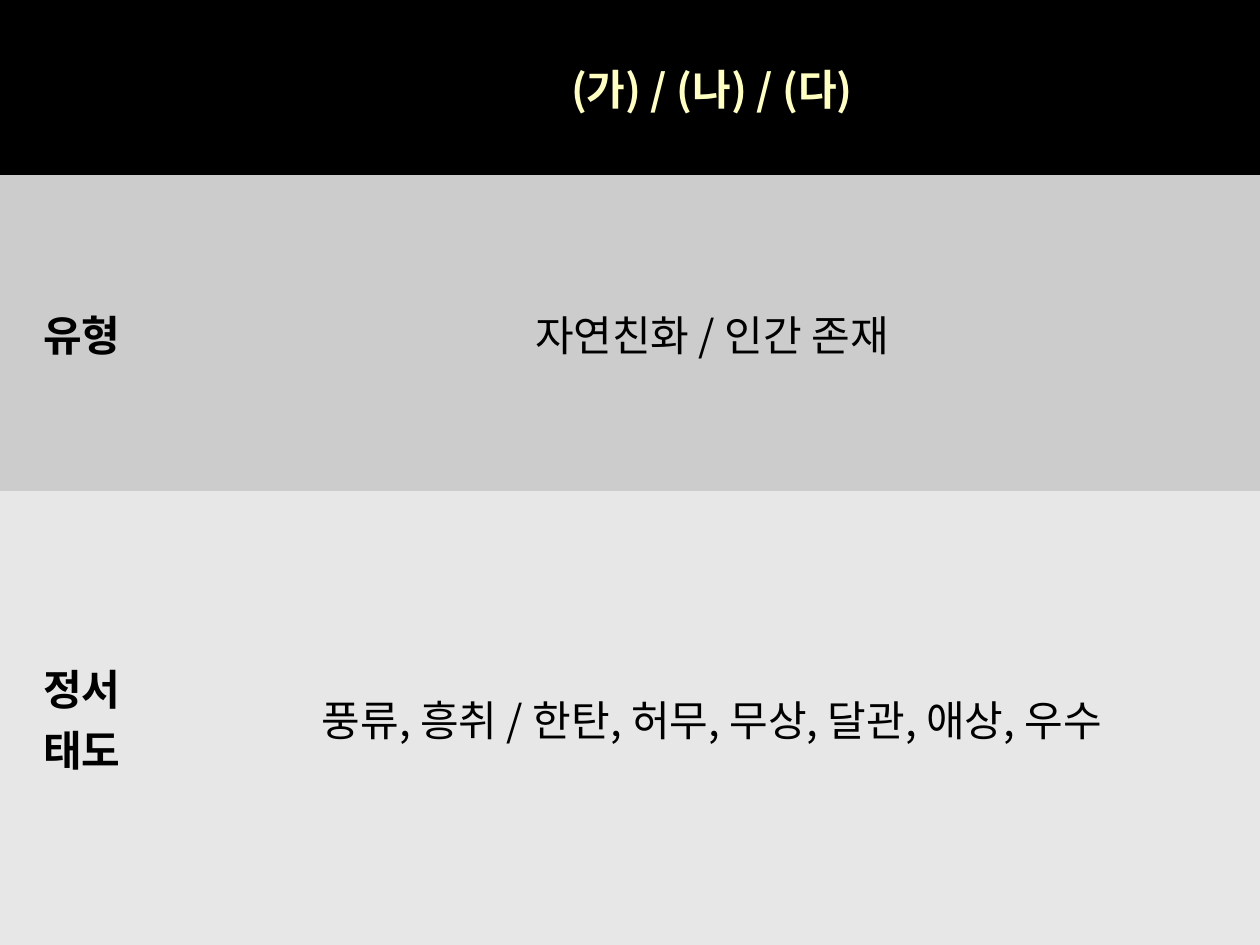
from pptx import Presentation
from pptx.dml.color import RGBColor
from pptx.enum.text import MSO_ANCHOR, PP_ALIGN
from pptx.oxml.ns import qn
from pptx.util import Pt

EMU_PER_PX = 9144
SLIDE_WIDTH, SLIDE_HEIGHT = 1000, 750
COLUMN_WIDTHS = (130, 870)
ROW_HEIGHTS = (139, 251, 360)

BLACK = RGBColor(0x00, 0x00, 0x00)
CREAM = RGBColor(0xFF, 0xFF, 0xBF)
MID_GRAY = RGBColor(0xCC, 0xCC, 0xCC)
LIGHT_GRAY = RGBColor(0xE7, 0xE7, 0xE7)

CENTER = PP_ALIGN.CENTER
MIDDLE = MSO_ANCHOR.MIDDLE
NO_STYLE_NO_GRID = "{2D5ABB26-0587-4C30-8999-92F81FD0307C}"

# Each row: fill, text colour, heading lines, content, content is bold
ROWS = (
    (BLACK, CREAM, (), "(가) / (나) / (다)", True),
    (MID_GRAY, BLACK, ("유형",), "자연친화 / 인간 존재", False),
    (LIGHT_GRAY, BLACK, ("정서", "태도"),
     "풍류, 흥취 / 한탄, 허무, 무상, 달관, 애상, 우수", False),
)


def px(length):
    return length * EMU_PER_PX


class SlideWriter:
    """Holds the text style and the slide being written."""

    font_name = "Noto Sans CJK KR"
    font_size = Pt(24)

    def __init__(self, slide):
        self.slide = slide

    def add_run(self, para, text, color, bold):
        run = para.add_run()
        run.text = text
        font = run.font
        font.name = self.font_name
        font.size = self.font_size
        font.bold = bold
        font.color.rgb = color
        east_asian = run._r.get_or_add_rPr().makeelement(
            qn("a:ea"), {"typeface": self.font_name})
        font._rPr.find(qn("a:latin")).addnext(east_asian)

    def fill_cell(self, cell, lines, fill, color, bold):
        cell.fill.solid()
        cell.fill.fore_color.rgb = fill
        cell.vertical_anchor = MIDDLE
        for index, line in enumerate(lines):
            frame = cell.text_frame
            para = frame.add_paragraph() if index else frame.paragraphs[0]
            para.alignment = CENTER
            self.add_run(para, line, color, bold)

    def add_table(self, rows, column_widths, row_heights):
        table = self.slide.shapes.add_table(
            len(row_heights), len(column_widths), 0, 0,
            px(sum(column_widths)), px(sum(row_heights))).table
        table.first_row = False
        table.horz_banding = False
        table._tbl.tblPr.find(qn("a:tableStyleId")).text = NO_STYLE_NO_GRID
        for column, width in zip(table.columns, column_widths):
            column.width = px(width)
        for row, height, values in zip(table.rows, row_heights, rows):
            row.height = px(height)
            fill, color, heading, content, content_bold = values
            heading_cell, content_cell = row.cells
            self.fill_cell(heading_cell, heading, fill, color, True)
            self.fill_cell(content_cell, (content,), fill, color, content_bold)


def main():
    deck = Presentation()
    deck.slide_width = px(SLIDE_WIDTH)
    deck.slide_height = px(SLIDE_HEIGHT)
    writer = SlideWriter(deck.slides.add_slide(deck.slide_layouts[6]))
    writer.add_table(ROWS, COLUMN_WIDTHS, ROW_HEIGHTS)
    deck.save("out.pptx")


if __name__ == "__main__":
    main()
